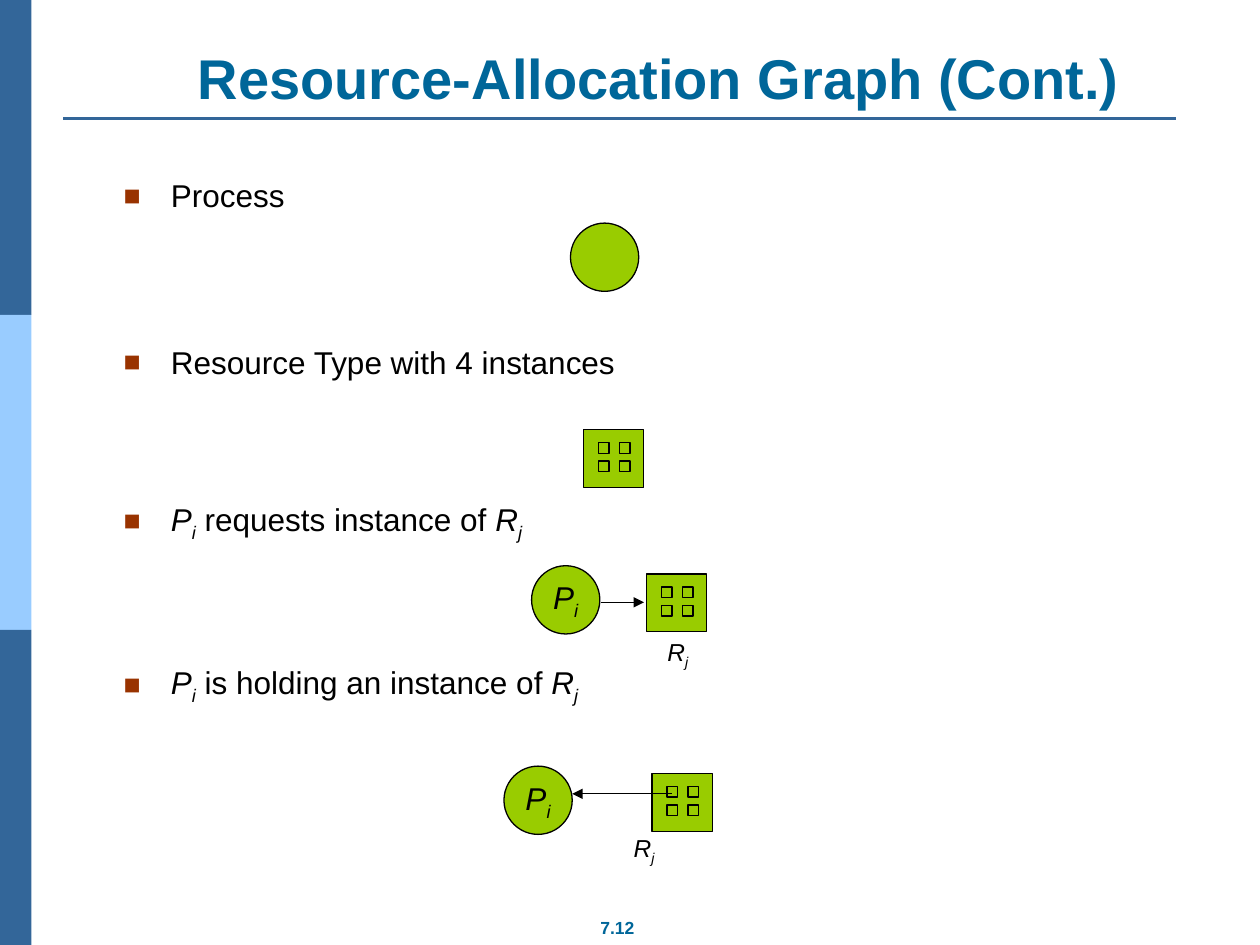
from pptx import Presentation
from pptx.dml.color import RGBColor
from pptx.enum.shapes import MSO_CONNECTOR, MSO_SHAPE
from pptx.enum.text import MSO_ANCHOR, MSO_AUTO_SIZE, PP_ALIGN
from pptx.oxml.ns import qn
from pptx.util import Pt
from lxml.etree import SubElement

# Content: text runs are (text, style), with "i" italic and "sub" subscript
TITLE = "Resource-Allocation Graph (Cont.)"
PAGE = "7.12"
PROC = [("P", "i"), ("i", "sub")]
RES = [("R", "i"), ("j", "sub")]
ITEMS = [  # space before, runs
    (0, [("Process", "")]),
    (73.5, [("Resource Type with 4 instances", "")]),
    (68, PROC + [(" requests instance of ", "")] + RES),
    (69, PROC + [(" is holding an instance of ", "")] + RES),
]
BARS = [(0, "336699"), (180, "99CCFF"), (360, "336699")]
NODES = [(326, 127.5, []), (303.8, 323.3, PROC), (288, 437.8, PROC)]
BOXES = [(333.4, 245.5), (369.4, 328), (372.5, 442)]
ARROWS = [((343.5, 344.2), (368, 344.2)), ((384, 453.6), (327, 453.6))]
LABELS = [(374.4, 360), (355, 472.3)]

BLACK, BLUE, GREEN, RUST = "000000", "006699", "99CC00", "993300"
NODE, DOT = 39, 6
BOX_W, BOX_H = 34.5, 33
DOT_X, DOT_Y = (8.6, 20.6), (7.5, 18)


def color(code):
    return RGBColor.from_string(code)


def write(para, runs, **look):
    look = {"name": "Arial", "size": Pt(18), "bold": False, **look}
    tint = look.pop("tint", BLACK)
    for text, style in runs:
        run = para.add_run()
        run.text = text
        run.font.color.rgb = color(tint)
        for key, val in {**look, "italic": style != ""}.items():
            setattr(run.font, key, val)
        if style == "sub":
            run.font._element.set("baseline", "-25000")


def setup(frame, **look):
    look = {"word_wrap": True, "auto_size": MSO_AUTO_SIZE.NONE, **look}
    for key, val in look.items():
        setattr(frame, key, val)
    return frame.paragraphs[0]


def place(shape, *rect):
    for key, val in zip(("left", "top", "width", "height"), rect):
        setattr(shape, key, Pt(val))


def draw(shapes, kind, x, y, w, h, fill=GREEN, edge=BLACK):
    shape = shapes.add_shape(kind, Pt(x), Pt(y), Pt(w), Pt(h))
    shape.shadow.inherit = False
    shape.fill.solid()
    shape.fill.fore_color.rgb = color(fill)
    if edge:
        shape.line.color.rgb = color(edge)
        shape.line.width = Pt(0.75)
    else:
        shape.line.fill.background()
    return shape


def link(shapes, start, end, tint=BLACK, width=0.75, head=False):
    line = shapes.add_connector(MSO_CONNECTOR.STRAIGHT, *map(Pt, start + end))
    line.line.color.rgb = color(tint)
    line.line.width = Pt(width)
    if head:
        SubElement(line.line._get_or_add_ln(), qn("a:tailEnd"), type="triangle")
    SubElement(line._element.spPr, qn("a:effectLst"))


def label(shapes, rect, runs, **look):
    box = shapes.add_textbox(*map(Pt, rect))
    para = setup(box.text_frame, word_wrap=False,
                 vertical_anchor=MSO_ANCHOR.MIDDLE)
    para.alignment = PP_ALIGN.CENTER
    write(para, runs, **look)


def bullet(para):
    props = para._p.get_or_add_pPr()
    props.set("marL", str(Pt(27)))
    props.set("indent", str(-Pt(27)))
    tint = SubElement(props, qn("a:buClr"))
    SubElement(tint, qn("a:srgbClr"), val=RUST)
    SubElement(props, qn("a:buSzPct"), val="90000")
    SubElement(props, qn("a:buFont"), typeface="Arial")
    SubElement(props, qn("a:buChar"), char="■")


def main():
    deck = Presentation()
    deck.slide_width, deck.slide_height = Pt(720), Pt(540)
    slide = deck.slides.add_slide(deck.slide_layouts[1])
    shapes = slide.shapes
    title, body = slide.placeholders

    # Side bars, rule and page number
    for y, fill in BARS:
        draw(shapes, MSO_SHAPE.RECTANGLE, 0, y, 18, 180, fill, None)
    link(shapes, (36, 67.7), (672, 67.7), "336699", 1.5)
    label(shapes, (317.5, 520.6, 70.5, 19.4), [(PAGE, "")],
          size=Pt(10), bold=True, tint=BLUE)

    # Title
    place(title, 69, 21.6, 615, 45.4)
    para = setup(title.text_frame, vertical_anchor=MSO_ANCHOR.BOTTOM)
    para.alignment = PP_ALIGN.CENTER
    write(para, [(TITLE, "")], size=Pt(32), bold=True, tint=BLUE)

    # Bulleted list
    place(body, 63.4, 97.2, 648, 357)
    para = setup(body.text_frame, vertical_anchor=MSO_ANCHOR.TOP)
    for n, (gap, runs) in enumerate(ITEMS):
        para = body.text_frame.add_paragraph() if n else para
        para.space_before = Pt(gap)
        bullet(para)
        write(para, runs)

    # Processes
    for x, y, runs in NODES:
        node = draw(shapes, MSO_SHAPE.OVAL, x, y, NODE, NODE)
        if runs:
            para = setup(node.text_frame, word_wrap=False,
                         vertical_anchor=MSO_ANCHOR.MIDDLE)
            para.alignment = PP_ALIGN.CENTER
            write(para, runs)

    # Resources, each with four instances
    for x, y in BOXES:
        group = shapes.add_group_shape().shapes
        draw(group, MSO_SHAPE.RECTANGLE, x, y, BOX_W, BOX_H)
        for dy in DOT_Y:
            for dx in DOT_X:
                draw(group, MSO_SHAPE.RECTANGLE, x + dx, y + dy, DOT, DOT)

    # Arrows and resource names
    for start, end in ARROWS:
        link(shapes, start, end, head=True)
    for x, y in LABELS:
        label(shapes, (x, y, 26, 26.6), RES, size=Pt(14))

    deck.save("out.pptx")


if __name__ == "__main__":
    main()
